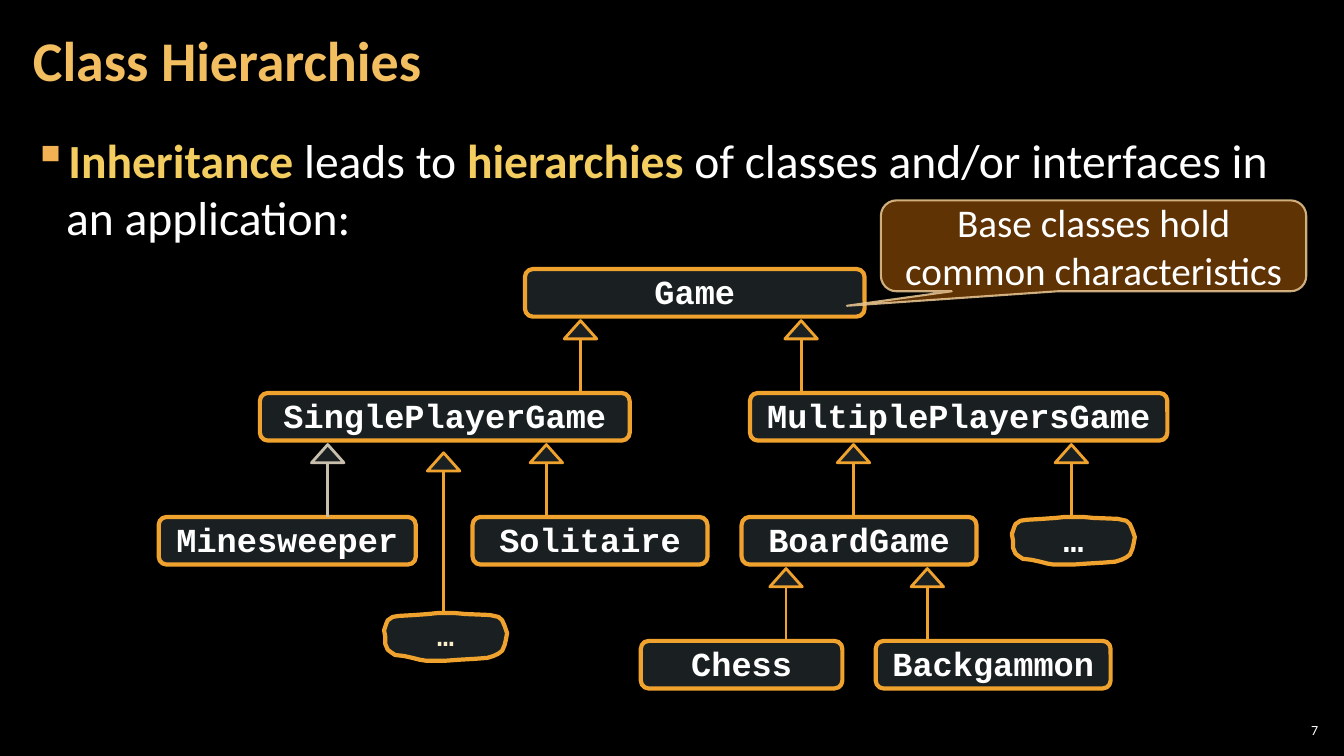
from lxml import etree
from pptx import Presentation
from pptx.dml.color import RGBColor
from pptx.enum.shapes import MSO_CONNECTOR, MSO_SHAPE
from pptx.enum.text import MSO_ANCHOR, PP_ALIGN
from pptx.oxml.ns import qn
from pptx.util import Cm, Pt

COLORS = {
    "back": "000000", "title": "F3BE60", "strong": "F3CD60", "text": "FFFFFF",
    "bullet": "F2B254", "node": "B5DBE5", "edge": "F0A22E", "dull": "C7BFAC",
    "cream": "FBEEC9", "note": "663606", "rim": "F8D49E",
}
BODY = [("Inheritance", True), (" leads to ", False), ("hierarchies", True),
        (" of classes and/or interfaces in an application:", False)]
NODES = [
    ("Game", 0, 9.23, 8.56),
    ("SinglePlayerGame", 1, 2.55, 9.32),
    ("MultiplePlayersGame", 1, 14.9, 10.52),
    ("Minesweeper", 2, 0, 6.48),
    ("Solitaire", 2, 7.91, 5.92),
    ("BoardGame", 2, 14.69, 5.92),
    ("Chess", 3, 12.15, 5.08),
    ("Backgammon", 3, 18.07, 5.92),
]
ARROWS = [
    (0, 10.63, "edge"), (0, 16.19, "edge"),
    (1, 4.26, "dull"), (1, 9.77, "edge"), (1, 17.51, "edge"), (1, 23, "edge"),
    (2, 15.81, "edge"), (2, 19.37, "edge"),
]
BLOB = [
    (0, 36), (2, 21), (3, 15), (7, 8), (12, 6), (25, 4), (36, 2), (43, 0),
    (58, 0), (66, 2), (86, 4), (93, 8), (96, 15), (98, 27), (100, 42),
    (99, 56), (98, 67), (96, 79), (93, 85), (89, 90), (84, 94), (74, 96),
    (61, 98), (50, 100), (34, 100), (29, 98), (23, 94), (16, 90), (9, 88),
    (6, 83), (3, 77), (2, 71), (1, 65), (1, 50),
]
NODE_H, BLOB_W, HEAD_W, HEAD_H, GAP = 1.2, 3.1, 0.82, 0.46, 0.1


def color(name):
    return RGBColor.from_string(COLORS[name])


def fade(fill, percent):
    tint = fill._xPr.find(qn("a:solidFill"))[0]
    etree.SubElement(tint, qn("a:alpha"), val=str(percent * 1000))


def paint(shape, fill, alpha, line, width):
    shape.shadow.inherit = False
    shape.fill.solid()
    shape.fill.fore_color.rgb = color(fill)
    fade(shape.fill, alpha)
    shape.line.color.rgb = color(line)
    shape.line.width = Pt(width)


def style(run, size, tint, bold=False, face="Calibri"):
    run.font.name = face
    run.font.size = Pt(size)
    run.font.bold = bold
    run.font.color.rgb = color(tint)


def add_text(slide, box, pad_x):
    frame = slide.shapes.add_textbox(*map(Cm, box)).text_frame
    frame.word_wrap = True
    frame.margin_left = frame.margin_right = Cm(pad_x)
    frame.margin_top = frame.margin_bottom = Cm(0.1)
    return frame


def add_title(slide, box):
    frame = add_text(slide, box, 0.3)
    frame.vertical_anchor = MSO_ANCHOR.MIDDLE
    frame.text = "Class Hierarchies"
    line = frame.paragraphs[0]
    line.line_spacing = Pt(40)
    style(line.runs[0], 40, "title", True)


def add_body(slide, box):
    line = add_text(slide, box, 0.3).paragraphs[0]
    line.space_after = Pt(6)
    for words, strong in BODY:
        run = line.add_run()
        run.text = words
        style(run, 34, "strong" if strong else "text", strong)
    props = line._p.get_or_add_pPr()
    props.set("marL", str(Cm(0.84)))
    props.set("indent", str(Cm(-0.84)))
    tint = etree.SubElement(props, qn("a:buClr"))
    etree.SubElement(tint, qn("a:srgbClr"), val=COLORS["bullet"])
    etree.SubElement(props, qn("a:buChar"), char="▪")


def label(shape, words, size=24, tint="text"):
    paint(shape, "node", 15, "edge", 3)
    frame = shape.text_frame
    frame.word_wrap = False
    frame.vertical_anchor = MSO_ANCHOR.MIDDLE
    frame.text = words
    line = frame.paragraphs[0]
    line.alignment = PP_ALIGN.CENTER
    line.line_spacing = 0.95
    style(line.runs[0], size, tint, True, "Courier New")


def add_blob(slide, left, top, size, tint):
    spots = [(Cm(left + BLOB_W * x / 100), Cm(top + NODE_H * y / 100))
             for x, y in BLOB]
    pen = slide.shapes.build_freeform(*spots[0])
    pen.add_line_segments(spots[1:], close=True)
    label(pen.convert_to_shape(), "…", size, tint)


def add_arrow(slide, x, tip, end, tint):
    base = tip + HEAD_H
    head = slide.shapes.add_shape(
        MSO_SHAPE.ISOSCELES_TRIANGLE,
        Cm(x - HEAD_W / 2), Cm(tip), Cm(HEAD_W), Cm(HEAD_H))
    paint(head, "node", 15, tint, 2)
    stem = slide.shapes.add_connector(
        MSO_CONNECTOR.STRAIGHT, Cm(x), Cm(base), Cm(x), Cm(end))
    stem.line.color.rgb = color(tint)
    stem.line.width = Pt(2)
    etree.SubElement(stem._element.spPr, qn("a:effectLst"))


def add_tree(slide, box):
    left, top, _, height = box
    step = (height - NODE_H) / 3
    for words, row, x, width in NODES:
        node = slide.shapes.add_shape(
            MSO_SHAPE.ROUNDED_RECTANGLE,
            Cm(left + x), Cm(top + row * step), Cm(width), Cm(NODE_H))
        label(node, words)
    for row, x, tint in ARROWS:
        tip = top + row * step + NODE_H + GAP
        add_arrow(slide, left + x, tip, top + (row + 1) * step, tint)
    add_blob(slide, left + 21.5, top + 2 * step, 24, "text")
    add_arrow(slide, left + 7.18, top + 4.63, top + 8.67, "edge")
    add_blob(slide, left + 5.68, top + 8.67, 20, "cream")


def add_number(slide, box):
    frame = add_text(slide, box, 0.1)
    frame.vertical_anchor = MSO_ANCHOR.MIDDLE
    frame.text = "7"
    line = frame.paragraphs[0]
    line.alignment = PP_ALIGN.RIGHT
    style(line.runs[0], 10, "text")


def add_note(slide, box):
    note = slide.shapes.add_shape(
        MSO_SHAPE.ROUNDED_RECTANGULAR_CALLOUT, *map(Cm, box))
    for spot, value in enumerate((-0.58, 0.66, 0.17)):
        note.adjustments[spot] = value
    paint(note, "note", 95, "rim", 1.5)
    fade(note.line.fill, 80)
    frame = note.text_frame
    frame.word_wrap = True
    frame.vertical_anchor = MSO_ANCHOR.MIDDLE
    frame.text = "Base classes hold common characteristics"
    line = frame.paragraphs[0]
    line.alignment = PP_ALIGN.CENTER
    style(line.runs[0], 28, "text")


def main():
    deck = Presentation()
    deck.slide_width, deck.slide_height = Cm(33.87), Cm(19.05)
    slide = deck.slides.add_slide(deck.slide_layouts[6])
    slide.background.fill.solid()
    slide.background.fill.fore_color.rgb = color("back")
    add_body(slide, (0.53, 3.2, 32.79, 15.47))
    add_title(slide, (0.53, 0.1, 26.59, 3.07))
    add_tree(slide, (4, 6.78, 25.63, 10.57))
    add_number(slide, (32.13, 18.14, 1.19, 0.53))
    add_note(slide, (22.2, 5.05, 10.72, 2.29))
    deck.save("out.pptx")


if __name__ == "__main__":
    main()
